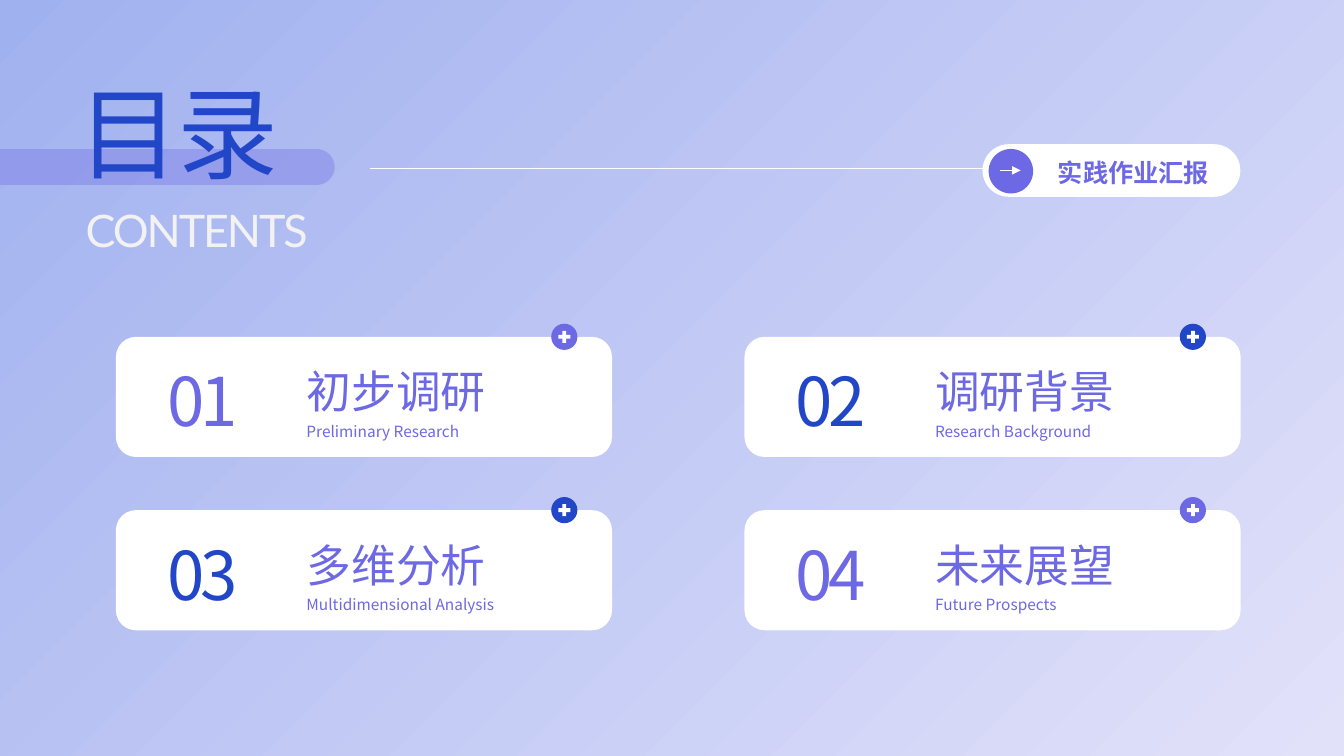
import math
from dataclasses import dataclass
from typing import Any

from lxml import etree
from pptx import Presentation
from pptx import util as u
from pptx.dml.color import RGBColor
from pptx.enum import shapes, text
from pptx.oxml import ns
from pptx.shapes import autoshape, connector, shapetree


@dataclass(frozen=True)
class Theme:
    violet: str = "6D68E4"
    blue: str = "2146C7"
    white: str = "FFFFFF"
    pale: str = "F2F2F2"
    glow: str = "E2E1FA"
    sky: str = "A0B1EF"
    display_font: str = "Cabin"
    caption_font: str = "Lato"
    body_font: str = "Noto Sans CJK SC"
    title_size: float = 72
    number_size: float = 48
    heading_size: float = 32
    badge_size: float = 18
    small_size: float = 11


@dataclass(frozen=True)
class Frame:
    left: float
    top: float
    width: float
    height: float


@dataclass(frozen=True)
class Style:
    font: str
    size: float
    color: str
    align: text.PP_ALIGN = text.PP_ALIGN.LEFT
    spacing: float = 0
    bold: bool = False


@dataclass(frozen=True)
class Chapter:
    heading: str
    english: str
    accent: str


THEME = Theme()
SLIDE = Frame(0, 0, 960, 540)
BANNER = Frame(0, 106.56, 239, 25.5)
CARD = Frame(82.8, 240.6, 354.4, 85.8)
COLUMN_STEP, ROW_STEP, COLUMNS = 449, 123.8, 2
DOT_OFFSET, DOT_SIZE, PLUS_SIZE = 320.3, 18.7, 11.6

CHAPTERS = [
    Chapter("初步调研", "Preliminary Research", THEME.violet),
    Chapter("调研背景", "Research Background", THEME.blue),
    Chapter("多维分析", "Multidimensional Analysis", THEME.blue),
    Chapter("未来展望", "Future Prospects", THEME.violet),
]

TITLE = Style(THEME.display_font, THEME.title_size, THEME.blue, spacing=-1.5)
SUBTITLE = Style(THEME.caption_font, THEME.heading_size, THEME.pale, spacing=-1.5)
BADGE = Style(THEME.display_font, THEME.badge_size, THEME.violet, text.PP_ALIGN.CENTER, bold=True)
HEADING = Style(THEME.body_font, THEME.heading_size, THEME.violet, text.PP_ALIGN.JUSTIFY)
ENGLISH = Style(THEME.body_font, THEME.small_size, THEME.violet, text.PP_ALIGN.JUSTIFY)


def apply(target: Any, values: dict[str, Any]) -> None:
    for name, value in values.items():
        setattr(target, name, value)


def place(frame: Frame) -> tuple[u.Length, ...]:
    return u.Pt(frame.left), u.Pt(frame.top), u.Pt(frame.width), u.Pt(frame.height)


def centred(x: float, y: float, size: float) -> Frame:
    return Frame(x - size / 2, y - size / 2, size, size)


def paint(shape: autoshape.Shape, color: str) -> None:
    shape.shadow.inherit = False
    shape.line.fill.background()
    shape.fill.solid()
    shape.fill.fore_color.rgb = RGBColor.from_string(color)


def add_block(page: shapetree.SlideShapes, kind: shapes.MSO_SHAPE, frame: Frame, color: str) -> autoshape.Shape:
    shape = page.add_shape(kind, *place(frame))
    paint(shape, color)
    return shape


def add_text(page: shapetree.SlideShapes, frame: Frame, words: str, style: Style) -> None:
    box = page.add_textbox(*place(frame)).text_frame
    apply(box, {"word_wrap": True, "auto_size": text.MSO_AUTO_SIZE.SHAPE_TO_FIT_TEXT})
    para = box.paragraphs[0]
    para.alignment = style.align
    span = para.add_run()
    span.text = words
    apply(span.font, {"name": style.font, "size": u.Pt(style.size), "bold": style.bold})
    span.font.color.rgb = RGBColor.from_string(style.color)
    properties = span.font._element
    etree.SubElement(properties, ns.qn("a:ea"), typeface=THEME.body_font)
    if style.spacing:
        properties.set("spc", str(round(style.spacing * 100)))


def add_line(page: shapetree.SlideShapes, start: float, end: float, y: float) -> connector.Connector:
    line = page.add_connector(shapes.MSO_CONNECTOR.STRAIGHT, u.Pt(start), u.Pt(y), u.Pt(end), u.Pt(y))
    line.line.width = u.Pt(0.5)
    line.line.color.rgb = RGBColor.from_string(THEME.white)
    etree.SubElement(line._element.spPr, ns.qn("a:effectLst"))
    return line


def add_backdrop(page: shapetree.SlideShapes) -> None:
    backdrop = add_block(page, shapes.MSO_SHAPE.RECTANGLE, SLIDE, THEME.glow)
    backdrop.fill.gradient()
    for stop, color, position in zip(backdrop.fill.gradient_stops, (THEME.glow, THEME.sky), (0, 1)):
        stop.color.rgb = RGBColor.from_string(color)
        stop.position = position
    gradient = backdrop._element.spPr.find(ns.qn("a:gradFill"))
    linear = gradient.find(ns.qn("a:lin"))
    radial = etree.Element(ns.qn("a:path"), path="circle")
    etree.SubElement(radial, ns.qn("a:fillToRect"), l="100000", t="100000")
    gradient.replace(linear, radial)


def add_banner(page: shapetree.SlideShapes) -> None:
    radius = BANNER.height / 2
    centre_x, centre_y = BANNER.width - radius, BANNER.top + radius
    angles = [math.radians(degrees) for degrees in range(-90, 91, 5)]
    curve = [
        (u.Pt(centre_x + radius * math.cos(angle)), u.Pt(centre_y + radius * math.sin(angle)))
        for angle in angles
    ]
    builder = page.build_freeform(u.Pt(BANNER.left), u.Pt(BANNER.top))
    builder.add_line_segments(curve + [(u.Pt(BANNER.left), u.Pt(BANNER.top + BANNER.height))])
    banner = builder.convert_to_shape()
    paint(banner, THEME.violet)
    color = banner._element.spPr.find(".//" + ns.qn("a:srgbClr"))
    etree.SubElement(color, ns.qn("a:alpha"), val="34000")


def add_badge(page: shapetree.SlideShapes) -> None:
    add_line(page, 264.3, 741.6, 120.2)
    pill = add_block(page, shapes.MSO_SHAPE.ROUNDED_RECTANGLE, Frame(701.8, 103, 184.2, 37.6), THEME.white)
    pill.adjustments[0] = 0.5
    add_block(page, shapes.MSO_SHAPE.OVAL, centred(722.1, 122.3, 31.8), THEME.violet)
    arrow = add_line(page, 714.2, 729, 121.7)
    etree.SubElement(arrow.line._get_or_add_ln(), ns.qn("a:tailEnd"), type="triangle")
    add_text(page, Frame(733.7, 108.7, 151.9, 29), "实践作业汇报", BADGE)


def add_card(page: shapetree.SlideShapes, index: int, chapter: Chapter) -> None:
    row, column = divmod(index, COLUMNS)
    left, top = CARD.left + column * COLUMN_STEP, CARD.top + row * ROW_STEP
    number = Style(THEME.body_font, THEME.number_size, chapter.accent, text.PP_ALIGN.CENTER, -3)
    add_block(page, shapes.MSO_SHAPE.ROUNDED_RECTANGLE, Frame(left, top, CARD.width, CARD.height), THEME.white)
    add_text(page, Frame(left + 129, top + 15.8, 165, 46), chapter.heading, HEADING)
    add_text(page, Frame(left + 20.4, top + 12.8, 82.8, 65.4), f"{index + 1:02}", number)
    add_text(page, Frame(left + 129, top + 57, 165, 20.6), chapter.english, ENGLISH)
    for kind, size, color in (
        (shapes.MSO_SHAPE.OVAL, DOT_SIZE, chapter.accent),
        (shapes.MSO_SHAPE.MATH_PLUS, PLUS_SIZE, THEME.white),
    ):
        add_block(page, kind, centred(left + DOT_OFFSET, top, size), color)


def main() -> None:
    deck = Presentation()
    apply(deck, {"slide_width": u.Pt(SLIDE.width), "slide_height": u.Pt(SLIDE.height)})
    page = deck.slides.add_slide(deck.slide_layouts[6]).shapes
    add_backdrop(page)
    add_banner(page)
    add_text(page, Frame(49, 46.8, 194.4, 94.3), "目录", TITLE)
    add_text(page, Frame(54, 141.1, 202.3, 46), "CONTENTS", SUBTITLE)
    for index, chapter in enumerate(CHAPTERS):
        add_card(page, index, chapter)
    add_badge(page)
    deck.save("out.pptx")


if __name__ == "__main__":
    main()
